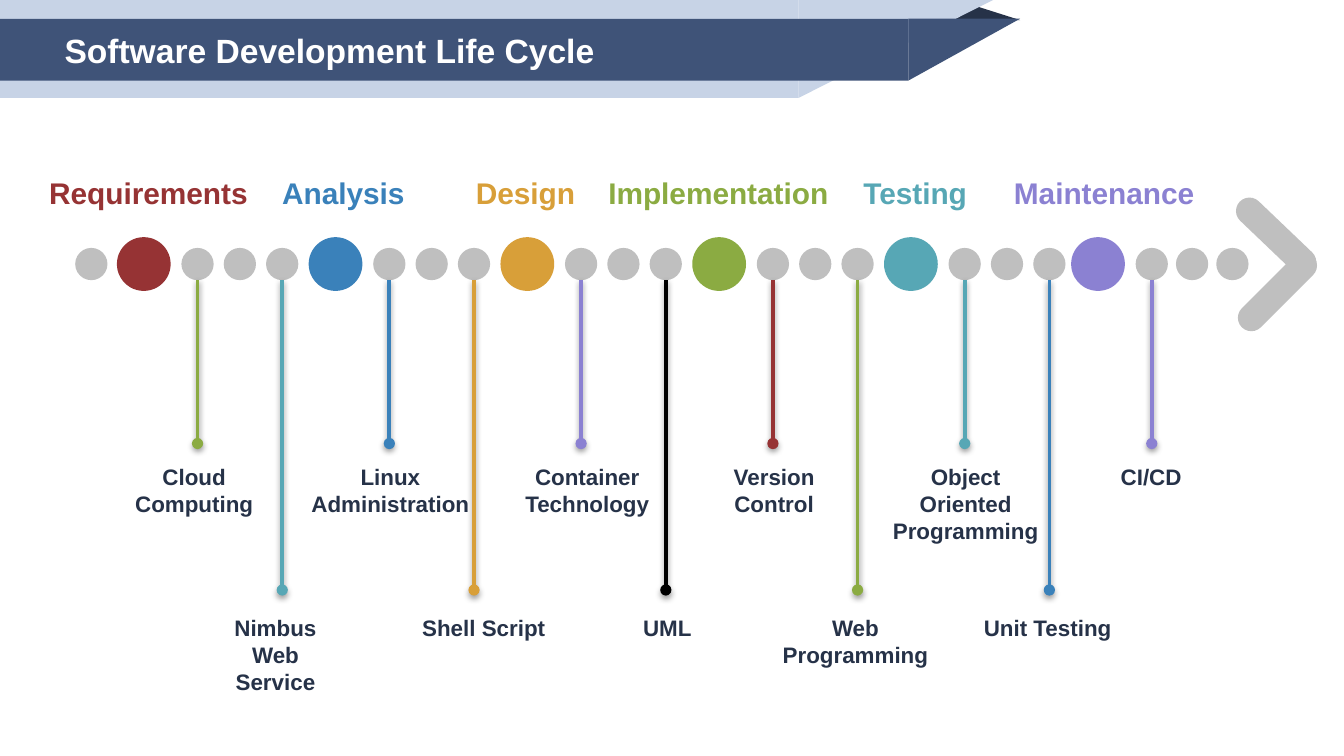
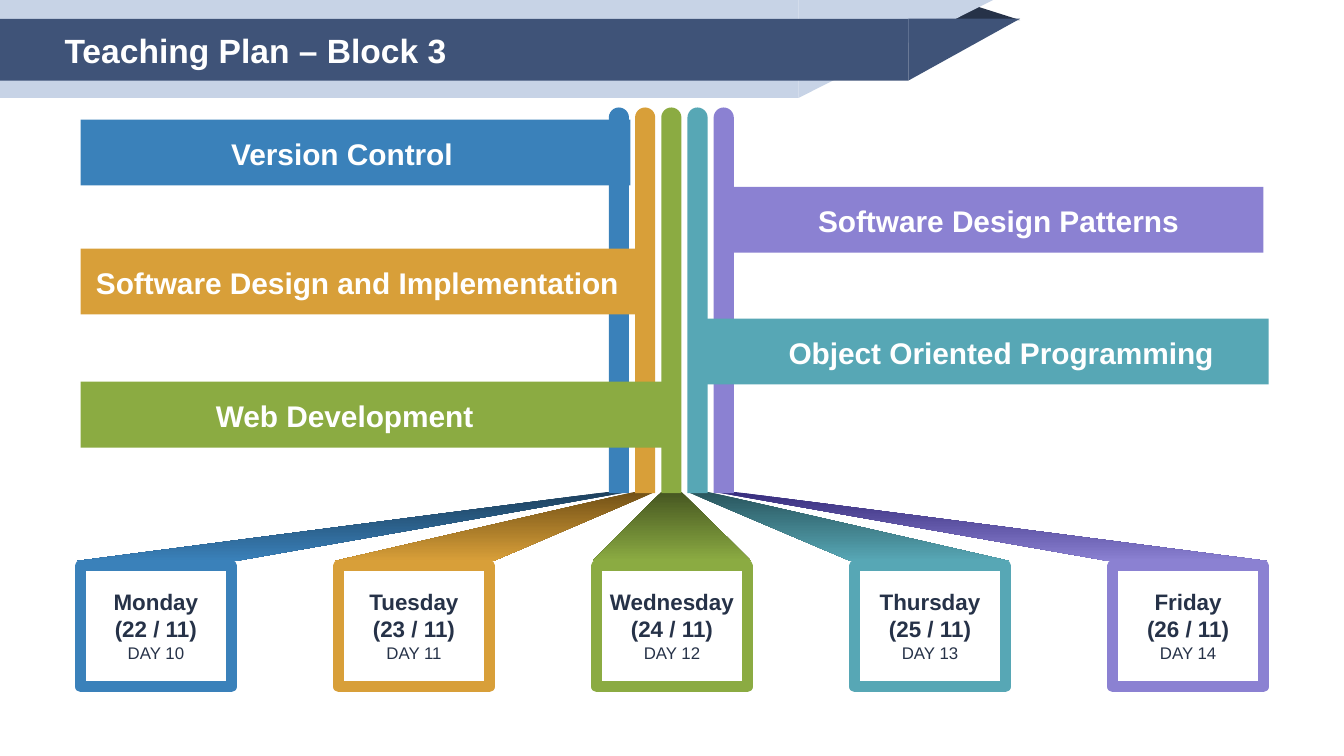
"""Builds two course slides: a life cycle timeline and a weekly teaching plan."""
from dataclasses import dataclass

from lxml import etree
from pptx import Presentation, util as u
from pptx.dml.color import RGBColor
from pptx.enum import shapes, text
from pptx.oxml.ns import qn

KIND = shapes.MSO_SHAPE
ALIGN = text.PP_ALIGN


@dataclass(frozen=True)
class Theme:
    """Colours, type sizes and font."""
    navy: str = "3F5378"
    ink: str = "263248"
    pale: str = "C7D3E6"
    grey: str = "BFBFBF"
    white: str = "FFFFFF"
    black: str = "000000"
    red: str = "963334"
    blue: str = "3A81BA"
    gold: str = "D89F39"
    green: str = "8BAB42"
    teal: str = "57A7B5"
    plum: str = "8B81D2"
    font: str = "Arial"
    title: int = 18
    head: int = 16
    body: int = 12
    small: int = 9


T = Theme()
COLS, ROWS = 100, 56.25
CELL = u.Inches(0.1)


def cells(*sizes):
    """Turns grid cells into lengths."""
    return [u.Emu(round(n * CELL)) for n in sizes]


def write(frame, lines, size=T.body, color=T.ink, bold=True, align=ALIGN.CENTER, after=None):
    """Fills a frame; a line is text or a (text, size, bold) tuple."""
    frame.word_wrap = True
    for i, line in enumerate([lines] if isinstance(lines, str) else lines):
        words, pt, thick = (line, size, bold) if isinstance(line, str) else line
        para = frame.paragraphs[0] if i == 0 else frame.add_paragraph()
        para.alignment = align
        if after is not None:
            para.space_after = u.Pt(after)
        run = para.add_run()
        run.text = words
        run.font.name, run.font.size, run.font.bold = T.font, u.Pt(pt), thick
        run.font.color.rgb = RGBColor.from_string(color)


class Deck:
    """Holds the style and the current slide."""

    def __init__(self):
        """Opens a deck and puts the band on its title layout."""
        self.prs = Presentation()
        self.prs.slide_width, self.prs.slide_height = cells(COLS, ROWS)
        self.base = self.prs.slide_layouts[5]
        self.slide = None

    def page(self, title):
        """Adds a slide with its title."""
        first = self.slide is None
        self.slide = self.prs.slides.add_slide(self.base)
        if first:
            self.band()
        head = self.slide.shapes.title
        head.left, head.top, head.width, head.height = cells(3.8, 1.4, 63.9, 4.6)
        frame = head.text_frame
        frame.margin_left = frame.margin_right = u.Inches(0.1)
        frame.margin_top = frame.margin_bottom = u.Inches(0.1)
        frame.vertical_anchor = text.MSO_ANCHOR.MIDDLE
        frame.auto_size = text.MSO_AUTO_SIZE.NONE
        write(frame, title, size=T.title, color=T.white, align=ALIGN.LEFT)

    def band(self):
        """Draws the title band and hands it to the layout."""
        parts = [self.shape(KIND.ISOSCELES_TRIANGLE, 69.4, 0.1, 6.5, 1.4, T.ink, adj=[0.32])]
        for top, high, wide, tip, color in ((0, 7.3, 59.4, 14.5, T.pale),
                                            (1.4, 4.6, 67.6, 8.3, T.navy)):
            parts.append(self.shape(KIND.RECTANGLE, 0, top, wide, high, color))
            end = self.shape(KIND.RIGHT_TRIANGLE, wide, top, tip, high, color)
            end._element.spPr.find(qn("a:xfrm")).set("flipV", "1")
            parts.append(end)
        tree = self.base.shapes._spTree
        for i, part in enumerate(parts):
            tree.insert(2 + i, part._element)

    def shape(self, kind, x, y, w, h, fill, line=None, adj=(), turn=0):
        """Adds a flat preset shape."""
        item = self.slide.shapes.add_shape(kind, *cells(x, y, w, h))
        item.shadow.inherit = False
        item.fill.solid()
        item.fill.fore_color.rgb = RGBColor.from_string(fill)
        if line:
            item.line.color.rgb = RGBColor.from_string(line)
            item.line.width = u.Pt(6)
        else:
            item.line.fill.background()
        for i, value in enumerate(adj):
            item.adjustments[i] = value
        item.rotation = turn
        return item

    def label(self, words, x, y, w, h, **form):
        """Adds a text box."""
        frame = self.slide.shapes.add_textbox(*cells(x, y, w, h)).text_frame
        write(frame, words, **form)
        frame.auto_size = text.MSO_AUTO_SIZE.SHAPE_TO_FIT_TEXT

    def stem(self, x, low, top, color):
        """Adds an upright line with a round foot and a soft shadow."""
        line = self.slide.shapes.add_connector(shapes.MSO_CONNECTOR.STRAIGHT, *cells(x, low, x, top))
        line.line.color.rgb = RGBColor.from_string(color)
        line.line.width = u.Pt(2)
        etree.SubElement(line.line._get_or_add_ln(), qn("a:headEnd"), type="oval")
        fx = etree.SubElement(line._element.spPr, qn("a:effectLst"))
        glow = etree.SubElement(fx, qn("a:outerShdw"), blurRad="40000", dist="20000",
                                dir="5400000", rotWithShape="0")
        tint = etree.SubElement(glow, qn("a:srgbClr"), val=T.black)
        etree.SubElement(tint, qn("a:alpha"), val="38000")

    def ray(self, points, dark, color):
        """Adds a closed outline shaded from dark at the top."""
        first, *rest = [cells(*point) for point in points]
        pen = self.slide.shapes.build_freeform(*first)
        pen.add_line_segments(rest, close=True)
        item = pen.convert_to_shape()
        item.shadow.inherit = False
        item.line.fill.background()
        item.fill.gradient()
        item.fill.gradient_angle = 270
        for stop, tone in zip(item.fill.gradient_stops, (dark, color)):
            stop.color.rgb = RGBColor.from_string(tone)


def cycle(deck):
    """Draws the life cycle timeline."""
    deck.page("Software Development Life Cycle")
    phases = [("Requirements", 2.2, 17.7, T.red), ("Analysis", 19, 13.1, T.blue),
              ("Design", 33.1, 12, T.gold), ("Implementation", 42.7, 21.5, T.green),
              ("Testing", 62.1, 12, T.teal), ("Maintenance", 73.2, 17.9, T.plum)]
    topics = [("Cloud Computing", 9, 10.9, 2, T.green),
              ("Nimbus Web Service", 15.5, 10, 3, T.teal),
              ("Linux Administration", 21.9, 14.3, 2, T.blue),
              ("Shell Script", 30, 12, 1, T.gold),
              ("Container Technology", 37.7, 12, 2, T.plum),
              ("UML", 46.6, 6.1, 1, T.black),
              ("Version Control", 53.4, 8.4, 2, T.red),
              ("Web Programming", 56.7, 13.9, 2, T.green),
              ("Object Oriented Programming", 65.3, 13.1, 3, T.teal),
              ("Unit Testing", 72.2, 11.5, 1, T.blue),
              ("CI/CD", 79.9, 11.5, 1, T.plum)]
    big, dot, mid = 4, 2.4, 19.65
    last = len(phases) - 1
    spots, stems = [5.6], []
    for i, (name, x, w, color) in enumerate(phases):
        deck.label(name, x, 12.5, w, 3.7, size=T.head, color=color)
        left = 79.7 if i == last else 8.7 + 14.27 * i
        deck.shape(KIND.OVAL, left, mid - big / 2, big, big, color)
        step = 3 if i == last else 3.15
        trio = [left + 4.8 + step * n for n in range(3)]
        spots += trio
        stems += [trio[0] + dot / 2, trio[2] + dot / 2]
    for x in spots:
        deck.shape(KIND.OVAL, x, mid - dot / 2, dot, dot, T.grey)
    for y, x, turn in ((16.6, 91.2, 43.7), (20.7, 91.3, 315)):
        deck.shape(KIND.ROUNDED_RECTANGLE, x, y, 7.5, 2, T.grey, adj=[0.5], turn=turn)
    for i, (x, (name, left, w, rows, color)) in enumerate(zip(stems, topics)):
        low = 43.9 if i % 2 else 33
        deck.stem(x, low, 20.8, color)
        deck.label(name, left, low + (1.3 if i % 2 else 1), w, 1 + 2.03 * rows, after=10)


def plan(deck):
    """Draws the teaching plan of the week."""
    deck.page("Teaching Plan – Block 3")
    days = [("Monday", T.blue, "1D405D"), ("Tuesday", T.gold, "725116"),
            ("Wednesday", T.green, "465621"), ("Thursday", T.teal, "29555D"),
            ("Friday", T.plum, "372D7D")]
    bars = [("Object Oriented Programming", 51.2, 23.7, 43.2, 54.7, 39.6, T.teal),
            ("Version Control", 6, 8.9, 40.9, 6, 38.9, T.blue),
            ("Software Design and Implementation", 6, 18.5, 42.7, 6, 41.2, T.gold),
            ("Web Development", 6, 28.4, 44.2, 6, 39.3, T.green),
            ("Software Design Patterns", 53.2, 13.9, 40.8, 54.5, 39.6, T.plum)]
    post = 1.5
    posts = [45.3 + 1.95 * i for i in range(len(days))]
    lefts = [5.7 + 19.2 * i for i in range(len(days))]
    for x, left, (_, color, dark) in zip(posts, lefts, days):
        deck.ray([(x, 36.6), (left, 41.75), (left + 11.8, 41.75), (x + post, 36.6)], dark, color)
    for left, (_, color, _) in zip(lefts, days):
        deck.shape(KIND.RECTANGLE, left + 0.3, 42.1, 11.2, 9, T.white, line=color)
    for x, (_, color, _) in zip(posts, days):
        deck.shape(KIND.ROUND_2_SAME_RECTANGLE, x, 8, post, 28.7, color, adj=[0.5, 0])
    for name, x, y, w, left, wide, color in bars:
        deck.shape(KIND.RECTANGLE, x, y, w, 4.9, color)
        deck.label(name, left, y + 0.7, wide, 3.7, size=T.head, color=T.white)
    for i, (left, (name, _, _)) in enumerate(zip(lefts, days)):
        lines = [name, f"({22 + i} / 11)", (f"DAY {10 + i}", T.small, False)]
        deck.label(lines, left, 43.3, 11.8, 6.6)


def main():
    """Builds and saves the deck."""
    deck = Deck()
    cycle(deck)
    plan(deck)
    deck.prs.save("out.pptx")


if __name__ == "__main__":
    main()
